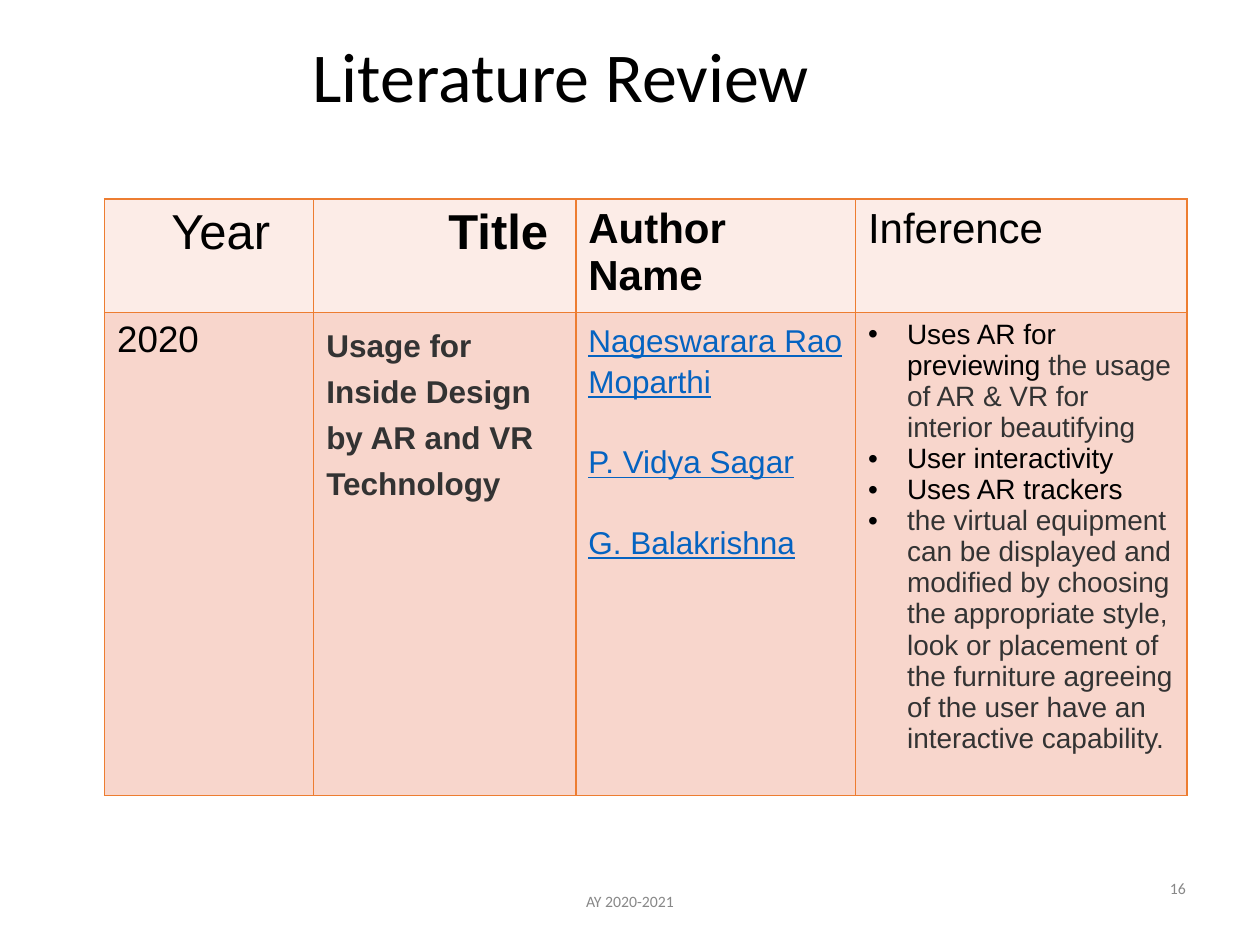
from lxml.etree import SubElement
from pptx import Presentation
from pptx.dml.color import RGBColor
from pptx.enum.text import MSO_ANCHOR, PP_ALIGN
from pptx.oxml.ns import qn
from pptx.util import Inches, Pt

COLORS = {
    "black": "000000", "dark": "333333", "author": "0563C1", "footer": "888888",
    "border": "ED7D31", "header_fill": "FCECE7", "body_fill": "F8D6CC",
}
COLUMN_WIDTHS = (1.66, 2.08, 2.22, 2.63)
ROW_HEIGHTS = (0.89, 3.76)
HEADERS = (
    ("Year", 28, False, 0.53),
    ("Title", 28, True, 1.07),
    ("Author Name", 24, True, 0.1),
    ("Inference", 24, False, 0.1),
)
AUTHORS = ("Nageswarara Rao Moparthi", "P. Vidya Sagar", "G. Balakrishna")
INFERENCES = (
    (("Uses AR for previewing ", "black"),
     ("the usage of AR & VR for interior beautifying", "dark")),
    (("User interactivity", "black"),),
    (("Uses AR trackers", "black"),),
    (("the virtual equipment can be displayed and modified by choosing the "
      "appropriate style, look or placement of the furniture agreeing of the "
      "user have an interactive capability.", "dark"),),
)


def write_text(paragraph, text, size=18, color="black", font="Arial", bold=False,
               underline=False, align=PP_ALIGN.LEFT, line_spacing=None):
    """Add one formatted run to a paragraph."""
    paragraph.alignment = align
    if line_spacing:
        paragraph.line_spacing = line_spacing
    run = paragraph.add_run()
    run.text = text
    run.font.name = font
    run.font.size = Pt(size)
    run.font.bold = bold
    run.font.underline = underline
    run.font.color.rgb = RGBColor.from_string(COLORS[color])


def next_paragraph(text_frame, index):
    """Return the first paragraph for index 0 and a new one otherwise."""
    return text_frame.add_paragraph() if index else text_frame.paragraphs[0]


def add_label(slide, left, top, width, height, text, margin_left=0.1, **text_format):
    """Place a wrapped, vertically centred text box."""
    text_frame = slide.shapes.add_textbox(
        Inches(left), Inches(top), Inches(width), Inches(height)).text_frame
    text_frame.word_wrap = True
    text_frame.vertical_anchor = MSO_ANCHOR.MIDDLE
    text_frame.margin_left = Inches(margin_left)
    write_text(text_frame.paragraphs[0], text, font="Calibri", **text_format)


def add_bullet(paragraph):
    """Give a paragraph a black bullet and a hanging indent."""
    properties = paragraph._p.get_or_add_pPr()
    properties.set("marL", str(Inches(0.31)))
    properties.set("indent", str(-Inches(0.31)))
    bullet_color = SubElement(properties, qn("a:buClr"))
    SubElement(bullet_color, qn("a:srgbClr"), val=COLORS["black"])
    SubElement(properties, qn("a:buFont"), typeface="Arial")
    SubElement(properties, qn("a:buChar"), char="•")


def style_cell(cell, fill):
    """Fill a cell and draw its four borders."""
    properties = cell._tc.get_or_add_tcPr()
    for side in ("lnL", "lnR", "lnT", "lnB"):
        line = SubElement(properties, qn(f"a:{side}"), w=str(Pt(1)))
        solid_fill = SubElement(line, qn("a:solidFill"))
        SubElement(solid_fill, qn("a:srgbClr"), val=COLORS["border"])
    cell.fill.solid()
    cell.fill.fore_color.rgb = RGBColor.from_string(COLORS[fill])


def add_review_table(slide, left, top):
    """Build the literature table at the given corner."""
    table = slide.shapes.add_table(
        len(ROW_HEIGHTS), len(COLUMN_WIDTHS), Inches(left), Inches(top),
        Inches(sum(COLUMN_WIDTHS)), Inches(sum(ROW_HEIGHTS))).table
    table.first_row = table.horz_banding = False
    for column, width in zip(table.columns, COLUMN_WIDTHS):
        column.width = Inches(width)
    for row, height, fill in zip(table.rows, ROW_HEIGHTS, ("header_fill", "body_fill")):
        row.height = Inches(height)
        for cell in row.cells:
            style_cell(cell, fill)

    for cell, (text, size, bold, margin) in zip(table.rows[0].cells, HEADERS):
        cell.margin_left = Inches(margin)
        write_text(cell.text_frame.paragraphs[0], text, size=size, bold=bold)

    year, title, authors, inference = (cell.text_frame for cell in table.rows[1].cells)
    write_text(year.paragraphs[0], "2020", size=21)
    write_text(title.paragraphs[0], "Usage for Inside Design by AR and VR Technology",
               color="dark", bold=True, line_spacing=1.3)
    for index, author in enumerate(AUTHORS):
        paragraph = next_paragraph(authors, index)
        paragraph.space_before = Pt(23 if index else 0)
        write_text(paragraph, author, color="author", underline=True, line_spacing=1.15)
    for index, parts in enumerate(INFERENCES):
        paragraph = next_paragraph(inference, index)
        add_bullet(paragraph)
        for text, color in parts:
            write_text(paragraph, text, size=16, color=color)


def add_footer(slide, left, top):
    """Place the academic year and the page number."""
    add_label(slide, left, top + 0.1, 3.38, 0.4, "AY 2020-2021",
              size=9, color="footer", align=PP_ALIGN.CENTER)
    add_label(slide, left + 3.95, top, 2.25, 0.4, "16",
              size=9, color="footer", align=PP_ALIGN.RIGHT)


def main():
    """Create and save the presentation."""
    presentation = Presentation()
    presentation.slide_width = Inches(10)
    presentation.slide_height = Inches(7.5)
    slide = presentation.slides.add_slide(presentation.slide_layouts[6])
    add_label(slide, 0.67, 0.17, 8.62, 0.93, "Literature Review",
              margin_left=1.81, size=40, line_spacing=0.9)
    add_review_table(slide, 0.83, 1.58)
    add_footer(slide, 3.31, 6.85)
    presentation.save("out.pptx")


if __name__ == "__main__":
    main()
